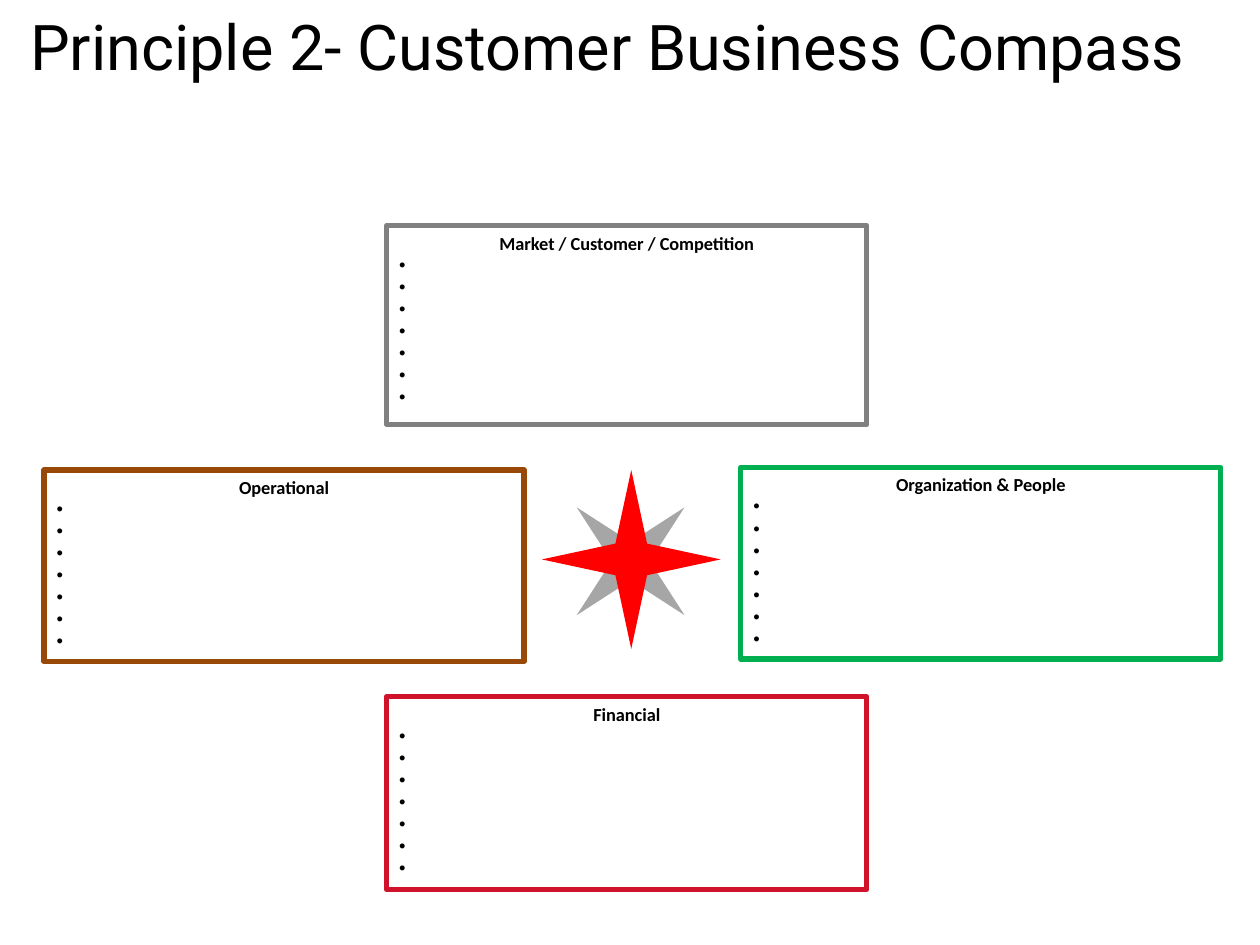
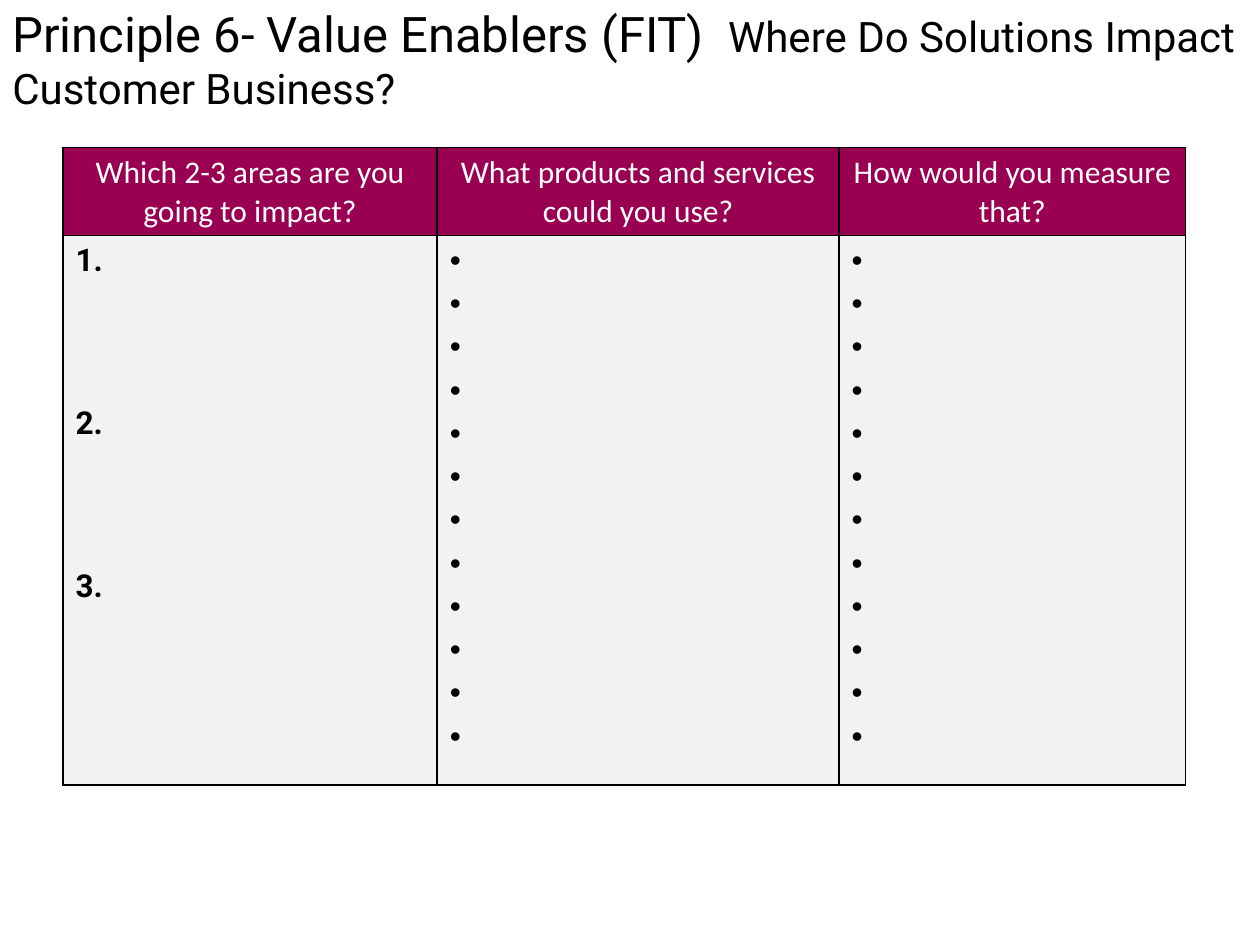
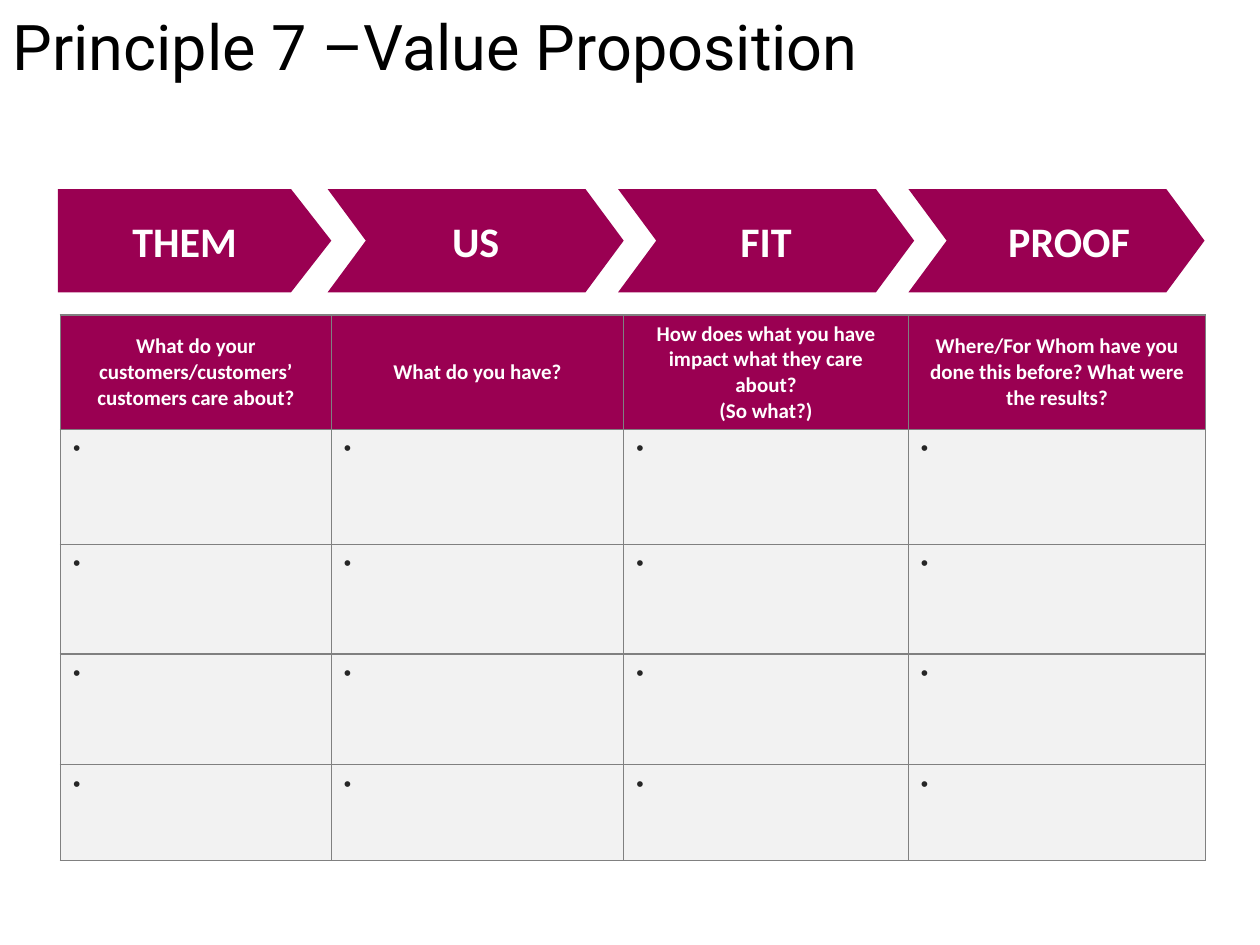
from lxml.etree import SubElement
from pptx import Presentation
from pptx.dml.color import RGBColor
from pptx.enum.shapes import MSO_SHAPE as Shape
from pptx.enum.text import MSO_ANCHOR as Anchor, PP_ALIGN as Align
from pptx.oxml.ns import qn
from pptx.util import Inches, Pt

BLACK, WHITE, PLUM, PALE, GRAY = "000000", "FFFFFF", "9A0052", "F2F2F2", "808080"
HEADING_FONT, BODY_FONT = "Roboto", "Calibri"


def color(value):
    return RGBColor.from_string(value)


def paint(target, value):
    target.fill.solid()
    target.fill.fore_color.rgb = color(value)


def add_span(para, text, size, ink=BLACK, font=BODY_FONT, bold=False):
    span = para.add_run()
    span.text = text
    span.font.size = Pt(size)
    span.font.name = font
    span.font.bold = bold
    span.font.color.rgb = color(ink)


def add_bullet(para, indent, numbering=None):
    settings = para._p.get_or_add_pPr()
    settings.set("marL", str(Inches(indent)))
    settings.set("indent", str(-Inches(indent)))
    if numbering:
        SubElement(settings, qn("a:buFont"), typeface=HEADING_FONT)
        SubElement(settings, qn("a:buAutoNum"), type=numbering)
    else:
        SubElement(settings, qn("a:buFont"), typeface="Arial")
        SubElement(settings, qn("a:buChar"), char="•")


def add_empty_items(frame, count, size, indent, gap=0, numbering=None, start=0, **style):
    for index in range(start, start + count):
        para = frame.add_paragraph() if index else frame.paragraphs[0]
        add_bullet(para, indent, numbering)
        para.space_before = Pt(gap if index else 0)
        add_span(para, " ", size, **style)


def add_centered_lines(frame, lines, size, **style):
    for index, line in enumerate(lines):
        para = frame.add_paragraph() if index else frame.paragraphs[0]
        para.alignment = Align.CENTER
        add_span(para, line, size, **style)


def add_title(page, left, width, height, *parts):
    box = page.shapes.add_textbox(Inches(left), Inches(0.01), Inches(width), Inches(height))
    frame = box.text_frame
    frame.word_wrap = True
    frame.vertical_anchor = Anchor.MIDDLE
    for text, size in parts:
        add_span(frame.paragraphs[0], text, size, font=HEADING_FONT)


def add_preset(page, kind, left, top, width, height, fill=None):
    shape = page.shapes.add_shape(kind, Inches(left), Inches(top), Inches(width), Inches(height))
    shape.shadow.inherit = False
    shape.line.fill.background()
    if fill:
        paint(shape, fill)
    else:
        shape.fill.background()
    return shape


def add_compass_box(page, heading, left, top, height, outline):
    box = add_preset(page, Shape.RECTANGLE, left, top, 3.81, height)
    box.line.color.rgb = color(outline)
    box.line.width = Pt(3)
    frame = box.text_frame
    frame.word_wrap = True
    frame.vertical_anchor = Anchor.TOP
    add_centered_lines(frame, [heading], 10.5, bold=True)
    for para in frame.paragraphs:
        para.space_before = Pt(0)
    add_empty_items(frame, 7, 10.5, 0.31, start=1)
    for para in frame.paragraphs[1:]:
        para.alignment = Align.LEFT


def add_star(page, left, top, size, fill, angle=0):
    star = add_preset(page, Shape.STAR_4_POINT, left, top, size, size, fill)
    star.rotation = angle


def add_stage(page, kind, label, left, width, bend):
    stage = add_preset(page, kind, left, 1.5, width, 0.82, PLUM)
    stage.adjustments[0] = bend
    stage.text_frame.vertical_anchor = Anchor.MIDDLE
    add_centered_lines(stage.text_frame, [label], 24, ink=WHITE, bold=True)
    return stage


def add_borders(cell, value):
    settings = cell._tc.get_or_add_tcPr()
    for side in ("lnL", "lnR", "lnT", "lnB"):
        line = SubElement(settings, qn("a:" + side), w=str(Pt(1)))
        fill = SubElement(line, qn("a:solidFill"))
        SubElement(fill, qn("a:srgbClr"), val=value)


def add_grid(page, left, top, widths, heights, border):
    frame = page.shapes.add_table(
        len(heights), len(widths), Inches(left), Inches(top),
        Inches(sum(widths)), Inches(sum(heights)))
    table = frame.table
    table.first_row = table.horz_banding = False
    for column, width in zip(table.columns, widths):
        column.width = Inches(width)
    for index, (row, height) in enumerate(zip(table.rows, heights)):
        row.height = Inches(height)
        for cell in row.cells:
            add_borders(cell, border)
            paint(cell, PALE if index else PLUM)
    return table


def build_compass(page):
    add_title(page, 0.14, 9.78, 0.7, ("Principle 2- Customer Business Compass", 36))
    add_compass_box(page, "Organization & People", 5.88, 3.71, 1.52, "00B050")
    add_compass_box(page, "Operational", 0.35, 3.73, 1.52, "984807")
    add_compass_box(page, "Market / Customer / Competition", 3.07, 1.79, 1.58, GRAY)
    add_compass_box(page, "Financial", 3.07, 5.53, 1.53, "D0132B")
    add_star(page, 4.4, 3.85, 1.21, "A6A6A6", 45)
    add_star(page, 4.3, 3.73, 1.42, "FF0000")


def build_enablers(page):
    add_title(page, 0, 10, 0.9, ("Principle 6- Value Enablers (FIT)  ", 28),
              ("Where Do Solutions Impact Customer Business?", 24))
    table = add_grid(page, 0.5, 1.17, [2.97, 3.19, 2.75], [0.7, 4.36], BLACK)
    questions = ["Which 2-3 areas are you going to impact?",
                 "What products and services could you use?",
                 "How would you measure that?"]
    for column, question in enumerate(questions):
        add_centered_lines(table.cell(0, column).text_frame, [question], 18, ink=WHITE)
    areas, products, measures = [cell.text_frame for cell in table.rows[1].cells]
    add_empty_items(areas, 3, 18, 0.36, 72, "arabicPeriod", font=HEADING_FONT, bold=True)
    for frame in (products, measures):
        add_empty_items(frame, 12, 18, 0.25, 3.6, font=HEADING_FONT)


def build_proposition(page):
    add_title(page, 0, 10, 0.7, ("Principle 7 –Value Proposition", 36))
    table = add_grid(page, 0.48, 2.5, [2.15, 2.32, 2.26, 2.36],
                     [0.91, 0.91, 0.87, 0.88, 0.76], GRAY)
    questions = [["What do your customers/customers’ customers care about?"],
                 ["What do you have?"],
                 ["How does what you have impact what they care about?", "(So what?)"],
                 ["Where/For Whom have you done this before? What were the results?"]]
    for column, lines in enumerate(questions):
        header = table.cell(0, column)
        header.vertical_anchor = Anchor.MIDDLE
        add_centered_lines(header.text_frame, lines, 12, ink=WHITE, bold=True)
        for row in range(1, len(table.rows)):
            add_empty_items(table.cell(row, column).text_frame, 1, 12, 0.19, ink="262626")
    add_stage(page, Shape.PENTAGON, "THEM", 0.46, 2.17, 0.39)
    for index, label in enumerate(["US", "FIT", "PROOF"]):
        stage = add_stage(page, Shape.CHEVRON, label, 2.6 + 2.305 * index, 2.35, 0.37)
    stage.text_frame.margin_left = Inches(0.2)
    stage.text_frame.margin_right = 0


def main():
    deck = Presentation()
    deck.slide_width, deck.slide_height = Inches(10), Inches(7.5)
    for build in (build_compass, build_enablers, build_proposition):
        build(deck.slides.add_slide(deck.slide_layouts[6]))
    deck.save("out.pptx")


if __name__ == "__main__":
    main()
